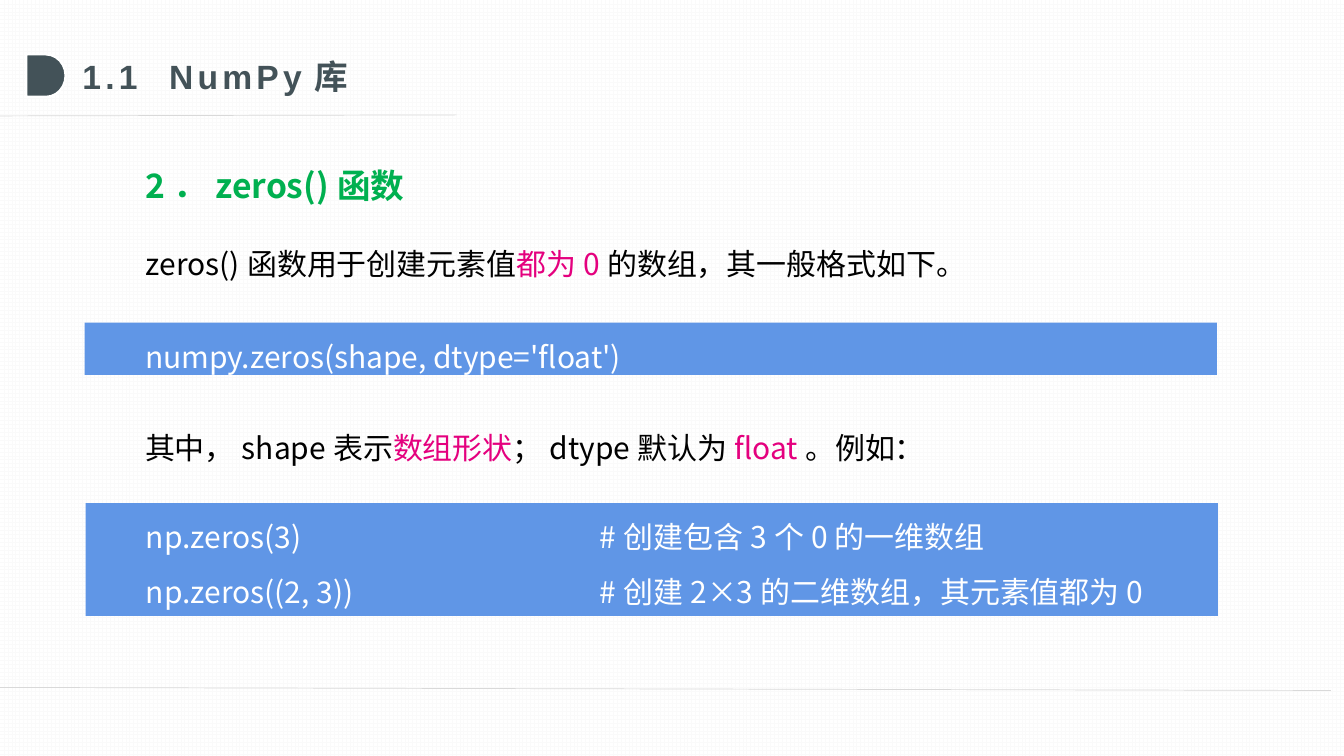
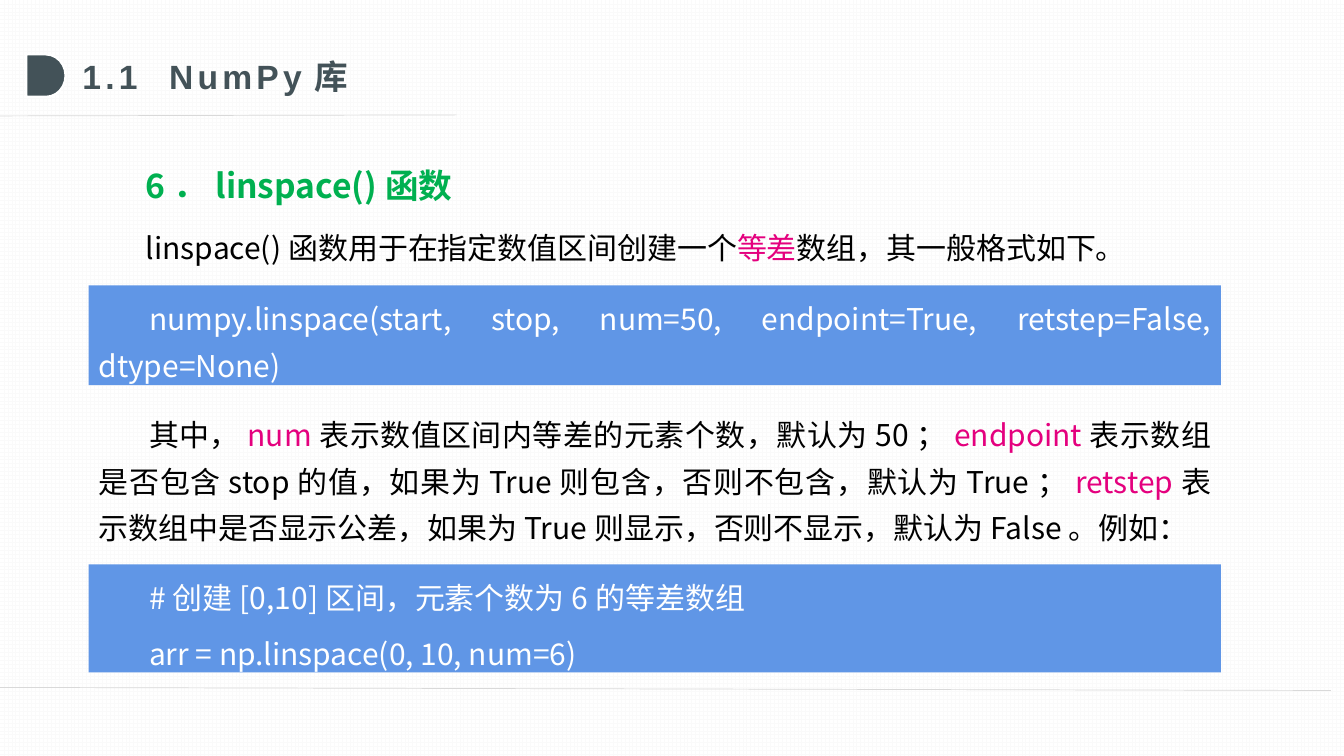
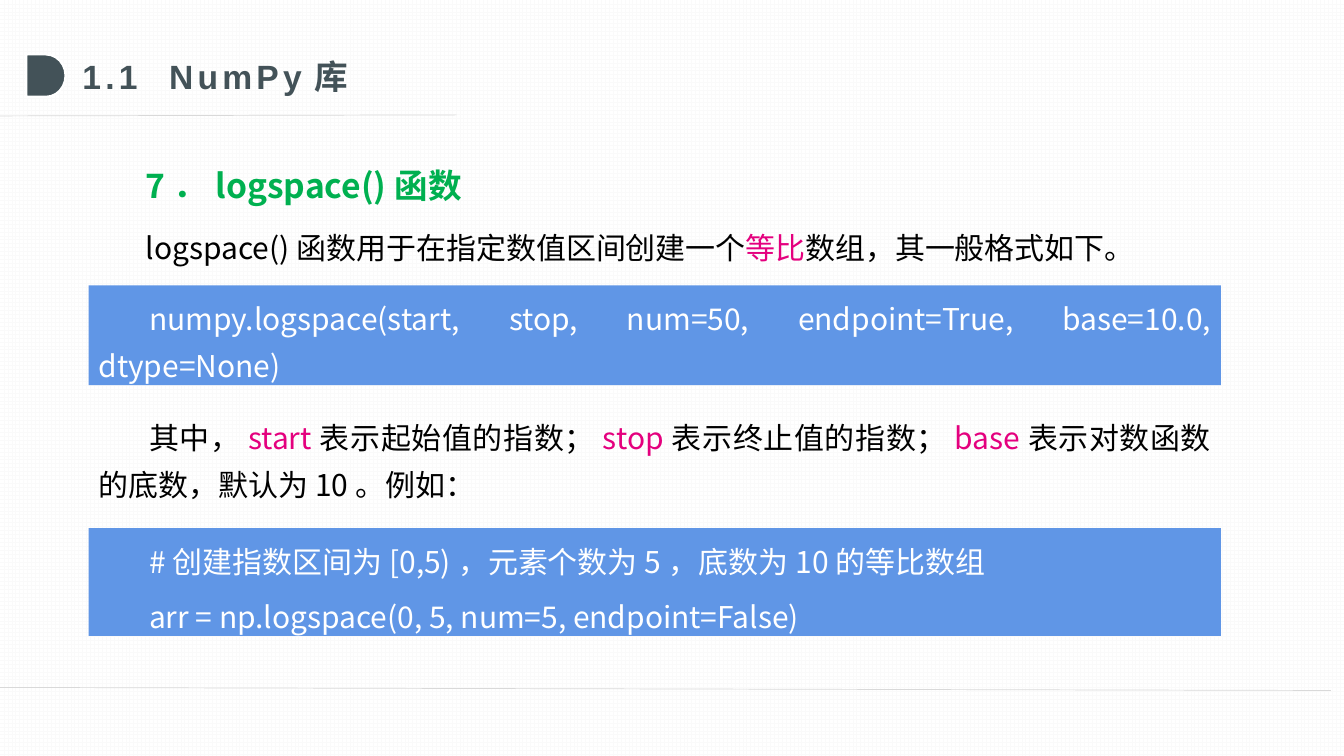
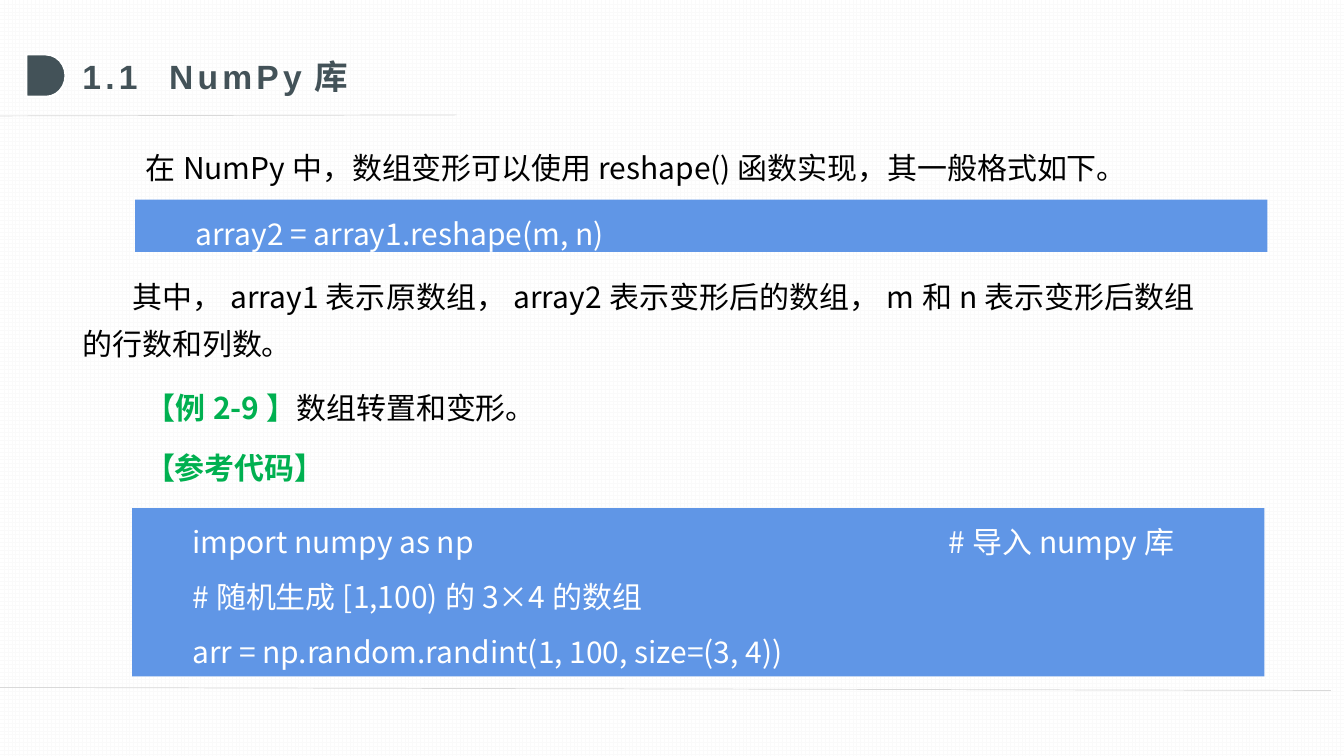
"""Builds four slides on array functions in the NumPy library."""
from dataclasses import dataclass
from typing import Any, NamedTuple

from lxml import etree
from pptx import Presentation
from pptx.dml.color import RGBColor
from pptx.enum.dml import MSO_PATTERN
from pptx.enum.shapes import MSO_CONNECTOR, MSO_SHAPE
from pptx.enum.text import MSO_ANCHOR, PP_ALIGN
from pptx.oxml.ns import qn
from pptx.slide import Slide
from pptx.util import Inches, Pt

CROSS = MSO_PATTERN.CROSS
STRAIGHT = MSO_CONNECTOR.STRAIGHT
DELAY = MSO_SHAPE.FLOWCHART_DELAY
RECT = MSO_SHAPE.RECTANGLE
TOP = MSO_ANCHOR.TOP
LEFT = PP_ALIGN.LEFT
EVEN = PP_ALIGN.JUSTIFY


class Style(NamedTuple):
    """Look of one kind of text."""
    color: str
    size: float
    bold: bool = False
    font: str = "Noto Sans CJK SC"
    track: int = 0


@dataclass(frozen=True)
class Theme:
    """Colours, type sizes and gaps of the deck."""
    paper: str = "FFFFFF"
    grid: str = "FAFAFA"
    rule: str = "D9D9D9"
    slate: str = "435258"
    band: str = "6096E6"
    asian: str = "Noto Sans CJK SC"
    title: Style = Style("435258", 24, True, "Arial", 300)
    head: Style = Style("00B050", 24, True)
    body: Style = Style("000000", 21.4)
    key: Style = Style("E4007E", 21.4)
    mark: Style = Style("00B050", 21.4, True)
    code: Style = Style("FFFFFF", 21.4)
    gap: float = 6
    width: float = 11.23


THEME = Theme()


class Run(NamedTuple):
    """A piece of text in one style."""
    text: str
    style: Style


Line = tuple[Run, ...]


@dataclass(frozen=True)
class Block:
    """A box of text, with a band behind it if fill is set."""
    left: float
    top: float
    height: float
    lines: tuple[Line, ...]
    width: float = THEME.width
    fill: str = ""
    indent: float = 0.5
    pitch: float | None = 33.3
    align: PP_ALIGN = EVEN
    wrap: bool = True
    tab: float = 1


class Rule(NamedTuple):
    """A thin line from one point to another."""
    x1: float
    y1: float
    x2: float
    y2: float


RULES = (Rule(0, 1.15, 4.53, 1.14), Rule(0, 6.82, 13.2, 6.85))
TITLE = Block(0.72, 0.51, 0.5, ((Run("1.1\tNumPy库", THEME.title),),), width=3.4,
              indent=0, pitch=None, align=LEFT, tab=0.86)


def head(text: str) -> Block:
    """Make a green section heading."""
    return Block(0.85, 1.47, 0.57, ((Run(text, THEME.head),),), pitch=37.3)


def note(left: float, top: float, height: float, *parts: str) -> Block:
    """Make body text in which every second part is a key word."""
    looks = (THEME.body, THEME.key)
    line = tuple(Run(part, looks[i % 2]) for i, part in enumerate(parts))
    return Block(left, top, height, (line,))


def code(left: float, top: float, height: float, *texts: str, tab: float = 1) -> Block:
    """Make a blue band with lines of code."""
    lines = tuple((Run(text, THEME.code),) for text in texts)
    return Block(left, top, height, lines, fill=THEME.band, tab=tab)


PAGES = (
    (
        head("2．zeros()函数"),
        note(0.85, 2.28, 0.57, "zeros()函数用于创建元素值", "都为0", "的数组，其一般格式如下。"),
        note(0.84, 4.11, 0.57, "其中，shape表示", "数组形状", "；dtype默认为", "float", "。例如："),
        code(0.84, 3.2, 0.52, "numpy.zeros(shape, dtype='float')"),
        code(0.85, 4.99, 1.12, "np.zeros(3)\t#创建包含3个0的一维数组",
             "np.zeros((2, 3))\t#创建2×3的二维数组，其元素值都为0", tab=5),
    ),
    (
        head("6．linspace()函数"),
        note(0.85, 2.12, 0.57, "linspace()函数用于在指定数值区间创建一个", "等差", "数组，其一般格式如下。"),
        note(0.88, 3.98, 1.5, "其中，", "num", "表示数值区间内等差的元素个数，默认为50；", "endpoint",
             "表示数组是否包含stop的值，如果为True则包含，否则不包含，默认为True；", "retstep",
             "表示数组中是否显示公差，如果为True则显示，否则不显示，默认为False。例如："),
        code(0.88, 2.83, 0.99,
             "numpy.linspace(start, stop, num=50, endpoint=True, retstep=False, dtype=None)"),
        code(0.88, 5.6, 1.07, "#创建[0,10]区间，元素个数为6的等差数组", "arr = np.linspace(0, 10, num=6)"),
    ),
    (
        head("7．logspace()函数"),
        note(0.85, 2.12, 0.57, "logspace()函数用于在指定数值区间创建一个", "等比", "数组，其一般格式如下。"),
        note(0.88, 4.01, 1.04, "其中，", "start", "表示起始值的指数；", "stop", "表示终止值的指数；",
             "base", "表示对数函数的底数，默认为10。例如："),
        code(0.88, 2.83, 0.99,
             "numpy.logspace(start, stop, num=50, endpoint=True, base=10.0, dtype=None)"),
        code(0.88, 5.24, 1.07, "#创建指数区间为[0,5)，元素个数为5，底数为10的等比数组",
             "arr = np.logspace(0, 5, num=5, endpoint=False)"),
    ),
    (
        note(0.85, 1.33, 0.52, "在NumPy中，数组变形可以使用reshape()函数实现，其一般格式如下。"),
        note(0.72, 2.61, 0.99,
             "其中，array1表示原数组，array2表示变形后的数组，m和n表示变形后数组的行数和列数。"),
        code(1.34, 1.98, 0.52, "array2 = array1.reshape(m, n)"),
        Block(0.85, 3.71, 0.57, ((Run("【例2-9】", THEME.mark), Run("数组转置和变形。", THEME.body)),)),
        Block(1.34, 4.41, 0.46, ((Run("【参考代码】", THEME.mark),),), width=2, indent=0,
              pitch=25.5, align=LEFT, wrap=False),
        code(1.31, 5.04, 1.67, "import numpy as np\t#导入numpy库", "#随机生成[1,100)的3×4的数组",
             "arr = np.random.randint(1, 100, size=(3, 4))", tab=8),
    ),
)


def apply(target: Any, values: dict[str, Any]) -> None:
    """Set each named value on the target."""
    for name, value in values.items():
        setattr(target, name, value)


def rgb(color: str) -> RGBColor:
    """Turn a hex string into a colour."""
    return RGBColor.from_string(color)


def add_run(para: Any, part: Run) -> None:
    """Add one styled run to a paragraph."""
    run = para.add_run()
    run.text = part.text
    style = part.style
    apply(run.font, {"size": Pt(style.size), "bold": style.bold, "name": style.font})
    run.font.color.rgb = rgb(style.color)
    props = run.font._element
    etree.SubElement(props, qn("a:ea"), typeface=THEME.asian)
    if style.track:
        props.set("spc", str(style.track))


def add_block(slide: Slide, block: Block) -> None:
    """Draw a block with its lines of text."""
    place = [Inches(n) for n in (block.left, block.top, block.width, block.height)]
    if block.fill:
        shape = slide.shapes.add_shape(RECT, *place)
        shape.shadow.inherit = False
        shape.fill.solid()
        shape.fill.fore_color.rgb = rgb(block.fill)
        shape.line.fill.background()
    else:
        shape = slide.shapes.add_textbox(*place)
    frame = shape.text_frame
    apply(frame, {"word_wrap": block.wrap, "vertical_anchor": TOP})
    for i, line in enumerate(block.lines):
        para = frame.add_paragraph() if i else frame.paragraphs[0]
        apply(para, {
            "alignment": block.align,
            "line_spacing": Pt(block.pitch) if block.pitch else None,
            "space_before": Pt(THEME.gap if i else 0),
        })
        props = para._p.get_or_add_pPr()
        for name, size in {"marL": 0, "indent": block.indent, "defTabSz": block.tab}.items():
            props.set(name, str(Inches(size)))
        for part in line:
            add_run(para, part)


def add_frame(slide: Slide) -> None:
    """Draw the rules, the badge and the title that all slides share."""
    for rule in RULES:
        line = slide.shapes.add_connector(STRAIGHT, *(Inches(n) for n in rule))
        line.line.color.rgb = rgb(THEME.rule)
        line.line.width = Pt(0.5)
        etree.SubElement(line._element.spPr, qn("a:effectLst"))
    badge = slide.shapes.add_shape(DELAY, *(Inches(n) for n in (0.26, 0.54, 0.39, 0.42)))
    badge.shadow.inherit = False
    badge.fill.solid()
    badge.fill.fore_color.rgb = rgb(THEME.slate)
    badge.line.color.rgb = rgb(THEME.paper)
    badge.line.width = Pt(1.5)
    add_block(slide, TITLE)


def main() -> None:
    """Build the deck and save it."""
    deck = Presentation()
    apply(deck, {"slide_width": Inches(13.33), "slide_height": Inches(7.5)})
    fill = deck.slide_master.background.fill
    fill.patterned()
    fill.pattern = CROSS
    fill.fore_color.rgb = rgb(THEME.grid)
    fill.back_color.rgb = rgb(THEME.paper)
    for page in PAGES:
        slide = deck.slides.add_slide(deck.slide_layouts[6])
        add_frame(slide)
        for block in page:
            add_block(slide, block)
    deck.save("out.pptx")


if __name__ == "__main__":
    main()
